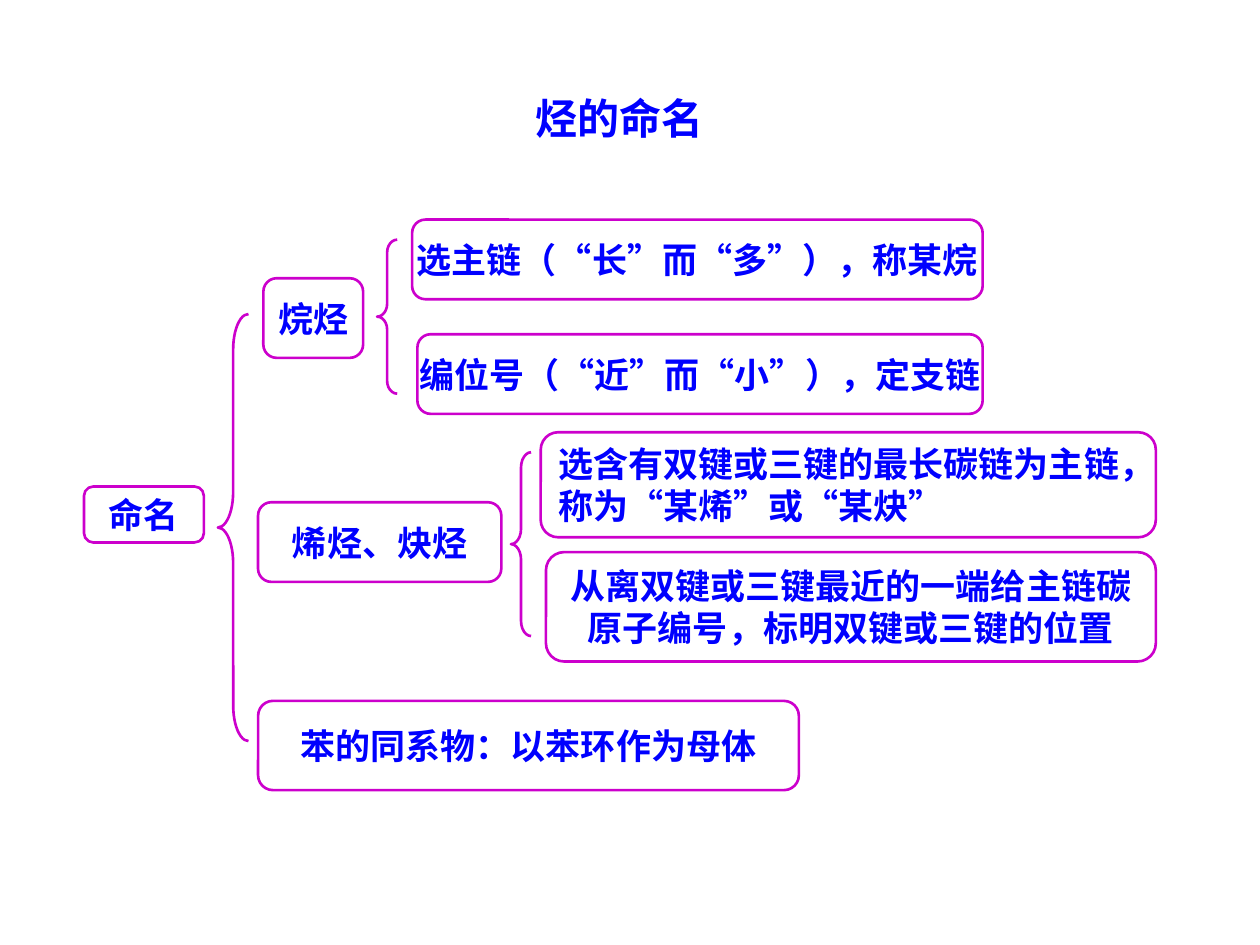
from pptx import Presentation
from pptx.dml.color import RGBColor
from pptx.enum.shapes import MSO_SHAPE as Shape
from pptx.enum.text import MSO_ANCHOR as Anchor, MSO_AUTO_SIZE as AutoSize, PP_ALIGN as Align
from pptx.util import Pt

BLUE, PURPLE = "0000FF", "CC00CC"
FONT = "Times New Roman"

TITLE = "烃的命名"
TITLE_PLACE = (70.5, 49, 567.5, 36)

LABELS = [
    ("命名", (48, 278, 68.5, 32)),
    ("烷烃", (150.5, 159, 57, 45.5)),
    ("烯烃、炔烃", (147.5, 287, 139, 45.5)),
    ("苯的同系物：以苯环作为母体", (147.5, 400.5, 309, 51)),
    ("选主链（“长”而“多”），称某烷", (235.5, 125.5, 326, 45.5)),
    ("编位号（“近”而“小”），定支链", (238.5, 191, 323, 45.5)),
]
RULES = [
    ("选含有双键或三键的最长碳链为主链，\n称为“某烯”或“某炔”", (309, 247, 351.5, 60), Align.LEFT),
    ("从离双键或三键最近的一端给主链碳\n原子编号，标明双键或三键的位置", (312, 315.5, 348.5, 62.5), Align.CENTER),
]
BRACES = [
    (124.5, 179.5, 17.5, 244),
    (215.5, 137, 11.5, 88),
    (292, 258.5, 11.5, 105),
]


def color(value):
    return RGBColor.from_string(value)


def write(frame, text, size, align):
    frame.text = text
    for para in frame.paragraphs:
        para.alignment = align
        para.font.name = FONT
        para.font.size = Pt(size)
        para.font.bold = True
        para.font.color.rgb = color(BLUE)


def add_outline(page, kind, place):
    shape = page.shapes.add_shape(kind, *map(Pt, place))
    shape.shadow.inherit = False
    shape.fill.background()
    shape.line.color.rgb = color(PURPLE)
    shape.line.width = Pt(1.5)
    return shape


def add_box(page, text, place, align=Align.CENTER, wrap=False):
    box = add_outline(page, Shape.ROUNDED_RECTANGLE, place)
    box.text_frame.word_wrap = wrap
    box.text_frame.vertical_anchor = Anchor.MIDDLE
    write(box.text_frame, text, 20, align)


def add_brace(page, place):
    brace = add_outline(page, Shape.LEFT_BRACE, place)
    width, height = place[2:]
    brace.adjustments[0] = height / 12 / width


def add_title(page):
    title = page.shapes.title
    title.left, title.top, title.width, title.height = map(Pt, TITLE_PLACE)
    title.text_frame.auto_size = AutoSize.NONE
    title.text_frame.vertical_anchor = Anchor.TOP
    write(title.text_frame, TITLE, 24, Align.CENTER)


def main():
    deck = Presentation()
    deck.slide_width, deck.slide_height = Pt(720), Pt(540)
    page = deck.slides.add_slide(deck.slide_layouts[5])
    add_title(page)
    for text, place in LABELS:
        add_box(page, text, place)
    for text, place, align in RULES:
        add_box(page, text, place, align, wrap=True)
    for place in BRACES:
        add_brace(page, place)
    deck.save("out.pptx")


if __name__ == "__main__":
    main()
